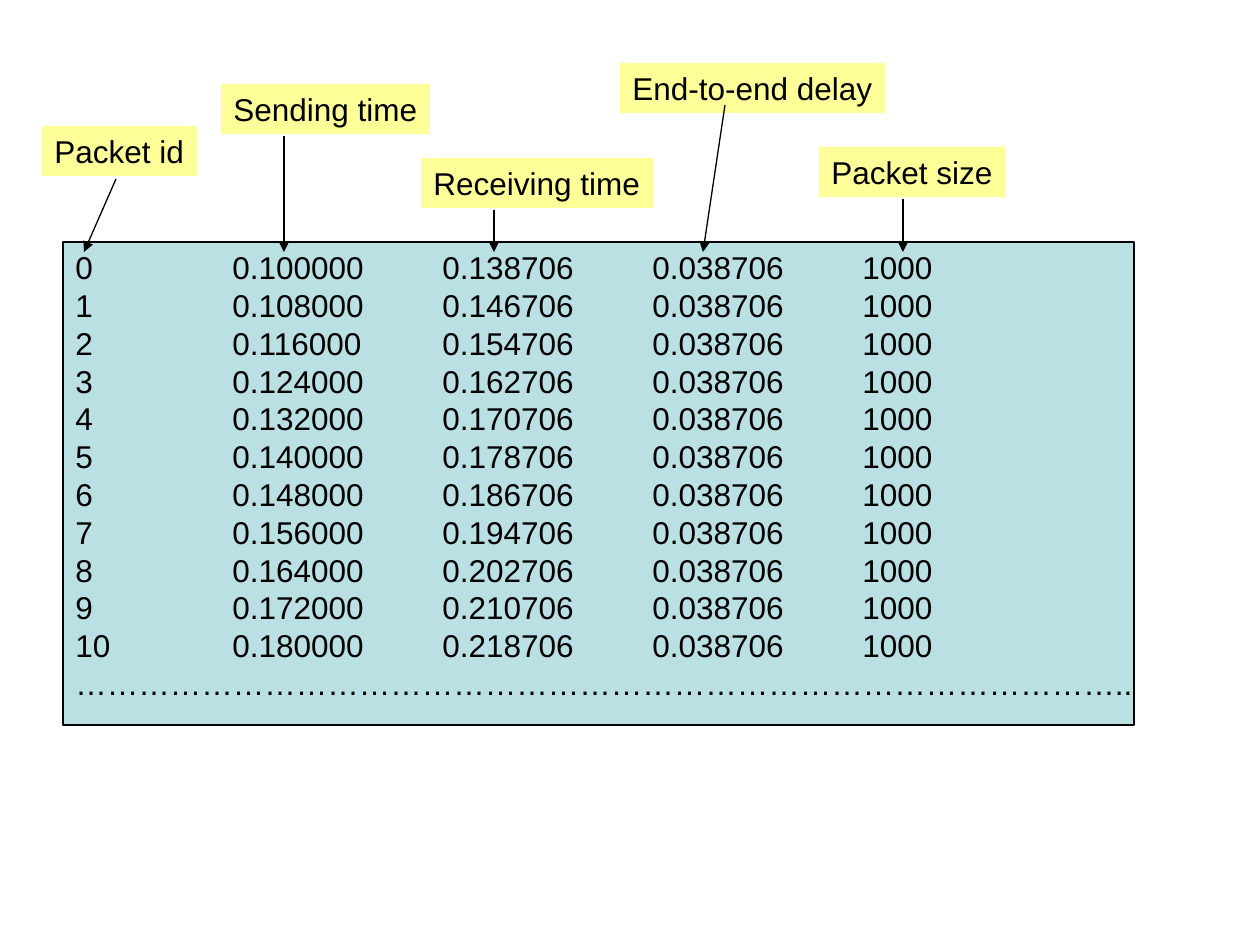
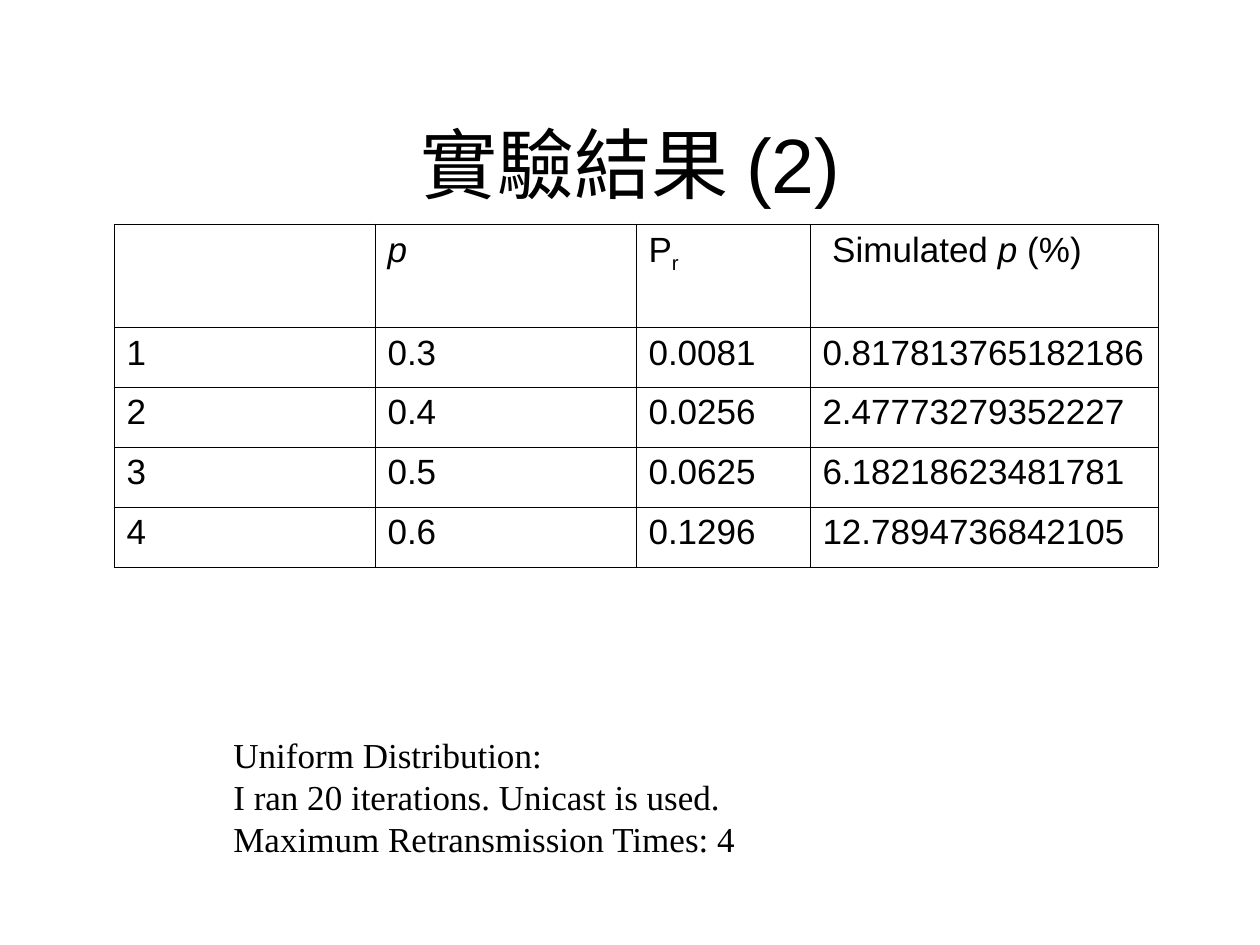
"""Build two slides: an annotated packet trace and a table of simulated loss rates."""
from lxml import etree
from pptx import Presentation
from pptx import util as u
from pptx.dml.color import RGBColor
from pptx.enum import shapes, text
from pptx.oxml.ns import qn

BLACK = RGBColor(0x00, 0x00, 0x00)
TEAL = RGBColor(0xBB, 0xE0, 0xE3)
YELLOW = RGBColor(0xFF, 0xFF, 0x99)
SANS, SERIF = "Arial", "Times New Roman"
PX = 914400 / 126

DELAY = 0.038706
TRACE = [(i, 0.1 + 0.008 * i) for i in range(11)]
TRACE_END = "……………………………………………………………………………………….."
TRACE_TABS = [157 + 210 * i for i in range(4)]
TRACE_PANEL = (63, 242, 1071, 483)
TRACE_TEXT = (63, 242, 1092, 466)
ARROW_TIP_Y = 252
LABELS = [
    ("Packet id", (42, 126, 155, 50), (116, 179), 84),
    ("Sending time", (221, 84, 209, 50), (284, 136), 284),
    ("Receiving time", (421, 158, 232, 50), (494, 210), 494),
    ("End-to-end delay", (620, 63, 265, 50), (725, 105), 703),
    ("Packet size", (819, 147, 186, 50), (903, 199), 903),
]

TITLE = "實驗結果 (2)"
TITLE_BOX = (95, 84, 1071, 158)
ITALIC, SUBSCRIPT = {"i": "1"}, {"baseline": "-25000"}
RESULTS = [
    ["", [("p", ITALIC)], [("P", {}), ("r", SUBSCRIPT)],
     [(" Simulated ", {}), ("p", ITALIC), (" (%)", {})]],
    ["1", "0.3", "0.0081", "0.817813765182186"],
    ["2", "0.4", "0.0256", "2.47773279352227"],
    ["3", "0.5", "0.0625", "6.18218623481781"],
    ["4", "0.6", "0.1296", "12.7894736842105"],
]
COLUMNS = [261, 261, 174, 348]
ROWS = [103, 60, 60, 60, 60]
TABLE_POS = (114, 224)
NOTES = ["Uniform Distribution:", "I ran 20 iterations. Unicast is used.",
         "Maximum Retransmission Times: 4"]
NOTES_BOX = (221, 727, 528, 139)


def px(*lengths):
    return [u.Emu(round(n * PX)) for n in lengths]


def write(tf, paragraphs, size=18, font=SANS, align=text.PP_ALIGN.LEFT,
          anchor=text.MSO_ANCHOR.TOP, tabs=()):
    tf.vertical_anchor = anchor
    for i, runs in enumerate(paragraphs):
        p = tf.paragraphs[0] if i == 0 else tf.add_paragraph()
        p.alignment = align
        if tabs:
            tab_list = etree.SubElement(p._p.get_or_add_pPr(), qn("a:tabLst"))
            for pos in px(*tabs):
                etree.SubElement(tab_list, qn("a:tab"), pos=str(pos), algn="l")
        for words, style in [(runs, {})] if isinstance(runs, str) else runs:
            r = p.add_run()
            r.text = words
            r.font.size, r.font.name = u.Pt(size), font
            r.font.color.rgb = BLACK
            for key, value in style.items():
                r._r.get_or_add_rPr().set(key, value)


def add_text(s, box, paragraphs, wrap=False, fill=None, **fmt):
    sp = s.shapes.add_textbox(*px(*box))
    if fill is not None:
        sp.fill.solid()
        sp.fill.fore_color.rgb = fill
    sp.text_frame.word_wrap = wrap
    sp.text_frame.auto_size = text.MSO_AUTO_SIZE.SHAPE_TO_FIT_TEXT
    write(sp.text_frame, paragraphs, **fmt)


def add_arrow(s, start, end):
    line = s.shapes.add_connector(shapes.MSO_CONNECTOR.STRAIGHT, *px(*start, *end))
    line.line.color.rgb = BLACK
    line.line.width = u.Pt(0.75)
    etree.SubElement(line.line._get_or_add_ln(), qn("a:tailEnd"), type="triangle")
    etree.SubElement(line._element.spPr, qn("a:effectLst"))


def add_borders(cell):
    tc_pr = cell._tc.get_or_add_tcPr()
    for side in "LRTB":
        ln = etree.SubElement(tc_pr, qn(f"a:ln{side}"), w=str(u.Pt(0.45)))
        fill = etree.SubElement(ln, qn("a:solidFill"))
        etree.SubElement(fill, qn("a:srgbClr"), val=str(BLACK))


def build_trace(prs):
    s = prs.slides.add_slide(prs.slide_layouts[6])
    panel = s.shapes.add_shape(shapes.MSO_SHAPE.RECTANGLE, *px(*TRACE_PANEL))
    panel.shadow.inherit = False
    panel.fill.solid()
    panel.fill.fore_color.rgb = TEAL
    panel.line.color.rgb = BLACK
    panel.line.width = u.Pt(0.75)
    lines = [f"{i}\t{sent:.6f}\t{sent + DELAY:.6f}\t{DELAY}\t1000" for i, sent in TRACE]
    add_text(s, TRACE_TEXT, lines + [TRACE_END], wrap=True, tabs=TRACE_TABS)
    for name, box, start, tip_x in LABELS:
        add_text(s, box, [name], fill=YELLOW)
        add_arrow(s, start, (tip_x, ARROW_TIP_Y))


def build_results(prs):
    s = prs.slides.add_slide(prs.slide_layouts[5])
    title = s.shapes.title
    title.left, title.top, title.width, title.height = px(*TITLE_BOX)
    write(title.text_frame, [TITLE], size=44, align=text.PP_ALIGN.CENTER,
          anchor=text.MSO_ANCHOR.MIDDLE)
    add_text(s, NOTES_BOX, NOTES, size=20, font=SERIF, anchor=text.MSO_ANCHOR.MIDDLE)
    table = s.shapes.add_table(len(ROWS), len(COLUMNS),
                               *px(*TABLE_POS, sum(COLUMNS), sum(ROWS))).table
    table.first_row = table.horz_banding = False
    for column, width in zip(table.columns, px(*COLUMNS)):
        column.width = width
    for row, height, values in zip(table.rows, px(*ROWS), RESULTS):
        row.height = height
        for cell, value in zip(row.cells, values):
            add_borders(cell)
            cell.fill.background()
            if value:
                write(cell.text_frame, [value], size=20)


def main():
    prs = Presentation()
    prs.slide_width, prs.slide_height = px(1260, 945)
    build_trace(prs)
    build_results(prs)
    prs.save("out.pptx")


if __name__ == "__main__":
    main()
